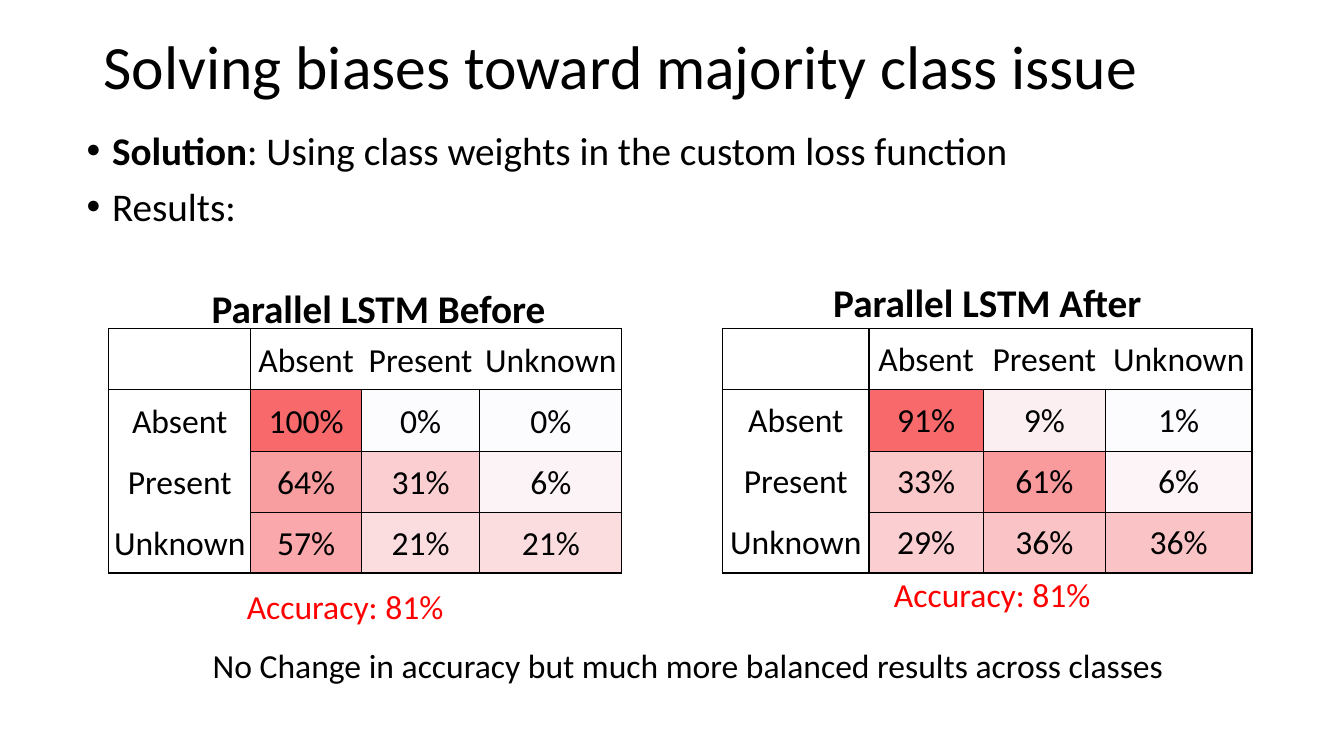
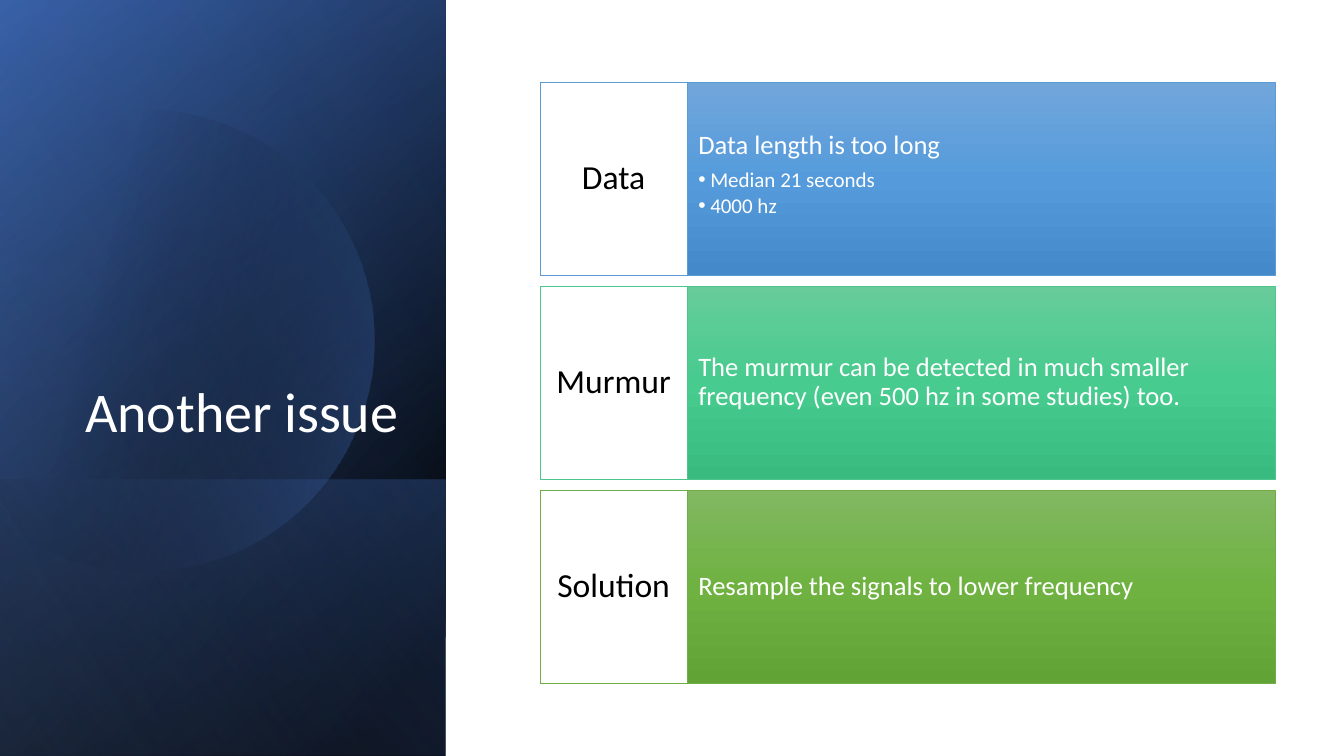
import math
from dataclasses import dataclass

import lxml.etree
import pptx
import pptx.dml.color
import pptx.enum.shapes
import pptx.enum.text
import pptx.oxml.ns
import pptx.util

Cm = pptx.util.Cm
Pt = pptx.util.Pt
qn = pptx.oxml.ns.qn
Align = pptx.enum.text.PP_ALIGN
Anchor = pptx.enum.text.MSO_ANCHOR
RECTANGLE = pptx.enum.shapes.MSO_SHAPE.RECTANGLE


@dataclass(frozen=True)
class Theme:
    font: str = "Calibri"
    black: str = "000000"
    white: str = "FFFFFF"
    red: str = "FF0000"
    navy: str = "2F5597"
    blue: str = "4472C4"
    pale_blue: str = "8FAADC"
    heat_low: str = "FCFCFF"
    heat_high: str = "F8696B"
    title_size: float = 44
    panel_title_size: float = 40
    body_size: float = 28
    label_size: float = 24
    card_size: float = 19
    card_bullet_size: float = 15
    line_spacing: float = 0.9


theme = Theme()


def style_para(para, size, color, bold=False, align=Align.LEFT, indent=None,
               before=0, after=0, spacing=theme.line_spacing):
    """Format a paragraph and its runs; an indent in cm makes it a bullet."""
    if indent is not None:
        properties = para._p.get_or_add_pPr()
        properties.set("marL", str(Cm(indent)))
        properties.set("indent", str(-Cm(indent)))
        lxml.etree.SubElement(properties, qn("a:buFont")).set("typeface", "Arial")
        lxml.etree.SubElement(properties, qn("a:buChar")).set("char", "•")
    para.alignment = align
    para.line_spacing = spacing
    para.space_before = Pt(before)
    para.space_after = Pt(after)
    for run in para.runs:
        run.font.name = theme.font
        run.font.size = Pt(size)
        run.font.bold = bold
        run.font.color.rgb = pptx.dml.color.RGBColor.from_string(color)


def paint_gradient(shape, stops, angle):
    """Fill with (position, colour, opacity) stops along a clockwise angle."""
    shape.shadow.inherit = False
    shape.fill.gradient()
    shape.fill.gradient_angle = 360 - angle
    stop_list = shape._element.spPr.find(qn("a:gradFill")).find(qn("a:gsLst"))
    for old_stop in list(stop_list):
        stop_list.remove(old_stop)
    for position, color, opacity in stops:
        stop = lxml.etree.SubElement(stop_list, qn("a:gs"), pos=str(position * 1000))
        tint = lxml.etree.SubElement(stop, qn("a:srgbClr"), val=color)
        if opacity < 100:
            lxml.etree.SubElement(tint, qn("a:alpha"), val=str(opacity * 1000))


deck = pptx.Presentation()
deck.slide_width = Cm(33.87)
deck.slide_height = Cm(19.05)

# Slide 1: title and bullets
page = deck.slides.add_slide(deck.slide_layouts[1])
title = page.shapes.title
title.left, title.top, title.width, title.height = Cm(2.36), Cm(-0.1), Cm(29.21), Cm(3.68)
title.text_frame.text = "Solving biases toward majority class issue"
title.text_frame.auto_size = pptx.enum.text.MSO_AUTO_SIZE.NONE
title.text_frame.vertical_anchor = Anchor.MIDDLE
style_para(title.text_frame.paragraphs[0], theme.title_size, theme.black)

body = page.placeholders[1]
body.left, body.top, body.width, body.height = Cm(1.93), Cm(3.18), Cm(29.21), Cm(12.09)
body.text_frame.auto_size = pptx.enum.text.MSO_AUTO_SIZE.NONE
solution = body.text_frame.paragraphs[0]
solution.add_run().text = "Solution"
solution.add_run().text = ": Using class weights in the custom loss function"
style_para(solution, theme.body_size, theme.black, indent=0.64)
solution.runs[0].font.bold = True
results = body.text_frame.add_paragraph()
results.text = "Results:"
style_para(results, theme.body_size, theme.black, indent=0.64, before=10)

# Confusion matrices: left edge, column widths, cell inset, percentages
classes = ["Absent", "Present", "Unknown"]
matrices = [
    (2.74, [3.58, 2.79, 2.98, 3.58], 0.08, [[100, 0, 0], [64, 31, 6], [57, 21, 21]]),
    (18.21, [3.69, 2.88, 3.08, 3.69], 0.05, [[91, 9, 1], [33, 61, 6], [29, 36, 36]]),
]
row_height = 1.54
low_rgb = pptx.dml.color.RGBColor.from_string(theme.heat_low)
high_rgb = pptx.dml.color.RGBColor.from_string(theme.heat_high)
for left, widths, inset, values in matrices:
    frame = page.shapes.add_table(4, 4, Cm(left), Cm(8.28), Cm(sum(widths)), Cm(4 * row_height))
    table = frame.table
    table.first_row = table.horz_banding = False
    for column, width in zip(table.columns, widths):
        column.width = Cm(width)
    lowest, highest = min(map(min, values)), max(map(max, values))
    grid = [[""] + classes] + [[name] + [f"{value}%" for value in line]
                               for name, line in zip(classes, values)]
    for r, line in enumerate(grid):
        table.rows[r].height = Cm(row_height)
        for c, text in enumerate(line):
            cell = table.cell(r, c)
            cell.text_frame.text = text
            cell.vertical_anchor = Anchor.MIDDLE
            cell.margin_left = cell.margin_right = cell.margin_top = Cm(inset)
            cell.margin_bottom = 0
            style_para(cell.text_frame.paragraphs[0], theme.label_size, theme.black,
                       align=Align.CENTER, spacing=1.0)

            # Frame and header rules are 1 pt, rules between values 0.5 pt
            cell_properties = cell._tc.get_or_add_tcPr()
            for side, rule, crossing in [("L", c, r), ("R", c + 1, r), ("T", r, c), ("B", r + 1, c)]:
                weight = 1 if rule in (0, 1, 4) else 0.5 if crossing else 0
                border = lxml.etree.SubElement(cell_properties, qn(f"a:ln{side}"))
                if weight:
                    border.set("w", str(Pt(weight)))
                    ink = lxml.etree.SubElement(border, qn("a:solidFill"))
                    lxml.etree.SubElement(ink, qn("a:srgbClr"), val=theme.black)
                else:
                    lxml.etree.SubElement(border, qn("a:noFill"))

            # Heat scale from the lowest to the highest value
            if r and c:
                share = (values[r - 1][c - 1] - lowest) / (highest - lowest)
                cell.fill.solid()
                cell.fill.fore_color.rgb = pptx.dml.color.RGBColor(
                    *[round(low + (high - low) * share) for low, high in zip(low_rgb, high_rgb)])
            else:
                cell.fill.background()

# Captions around the matrices: text, place, size, colour, bold, alignment
captions = [
    ("Parallel LSTM Before", (4.65, 7.04, 9.78, 1.45), theme.body_size, theme.black, True, Align.CENTER),
    ("Accuracy: 81%", (5.97, 14.63, 5.61, 1.27), theme.label_size, theme.red, False, Align.LEFT),
    ("Parallel LSTM After", (20.55, 6.88, 8.66, 1.45), theme.body_size, theme.black, True, Align.CENTER),
    ("Accuracy: 81%", (22.28, 14.33, 5.61, 1.27), theme.label_size, theme.red, False, Align.LEFT),
    ("No Change in accuracy but much more balanced results across classes",
     (5.11, 16.13, 24.69, 1.27), theme.label_size, theme.black, False, Align.LEFT),
]
for text, place, size, color, bold, align in captions:
    box = page.shapes.add_textbox(*[Cm(length) for length in place])
    box.text_frame.word_wrap = True
    box.text_frame.text = text
    style_para(box.text_frame.paragraphs[0], size, color, bold, align, spacing=1.0)

# Slide 2: layered gradient panel, from back to front
page = deck.slides.add_slide(deck.slide_layouts[5])
panel_width, panel_height, band_top = 11.23, 19.05, 12.09
layers = [
    ("panel", [(8, theme.black, 100), (100, theme.navy, 100)], 220),
    ("panel", [(0, theme.black, 0), (99, theme.blue, 46)], 240),
    ("band", [(2, theme.blue, 29), (100, theme.black, 30)], 140),
    ("disc", [(29, theme.black, 0), (100, theme.blue, 43)], 14),
    ("panel", [(0, theme.black, 0), (99, theme.pale_blue, 11)], 150),
]
for kind, stops, angle in layers:
    if kind == "disc":
        # Circle cut off by the left edge of the slide
        center_x, center_y, radius = 3.61, 8.58, 5.82
        limit = math.acos(-center_x / radius)
        steps = 90
        arc = [limit * (2 * step / steps - 1) for step in range(steps + 1)]
        points = [(Cm(center_x + radius * math.cos(turn)), Cm(center_y + radius * math.sin(turn)))
                  for turn in arc]
        builder = page.shapes.build_freeform(*points[0])
        builder.add_line_segments(points[1:], close=True)
        layer = builder.convert_to_shape()
    else:
        top = band_top if kind == "band" else 0
        layer = page.shapes.add_shape(RECTANGLE, 0, Cm(top), Cm(panel_width), Cm(panel_height - top))
    paint_gradient(layer, stops, angle)
    layer.line.fill.background()

# Panel title, brought in front of the layers
title = page.shapes.title
page.shapes._spTree.append(title._element)
title.left, title.top, title.width, title.height = Cm(1.63), Cm(4.67), Cm(8.66), Cm(6.65)
title.text_frame.text = "Another issue"
title.text_frame.auto_size = pptx.enum.text.MSO_AUTO_SIZE.NONE
title.text_frame.vertical_anchor = Anchor.BOTTOM
style_para(title.text_frame.paragraphs[0], theme.panel_title_size, theme.white, align=Align.RIGHT)

# Cards: label, statement, bullets, line colour, gradient colours
cards = [
    ("Data", "Data length is too long", ["Median 21 seconds", "4000 hz"],
     "5B9BD5", ["71A6DB", "559BDB", "448ACA"]),
    ("Murmur", "The murmur can be detected in much smaller frequency (even 500 hz in some studies) too.", [],
     "4DC58D", ["67CC9A", "47CB8E", "39BB7F"]),
    ("Solution", "Resample the signals to lower frequency", [],
     "70AD47", ["81B861", "6FB242", "62A336"]),
]
card_left, card_top, card_pitch, card_height = 13.61, 2.08, 5.14, 4.85
label_width, statement_width = 3.71, 14.81
for index, (label, statement, bullets, line_color, shades) in enumerate(cards):
    top = Cm(card_top + index * card_pitch)
    statement_box = page.shapes.add_shape(
        RECTANGLE, Cm(card_left + label_width), top, Cm(statement_width), Cm(card_height))
    paint_gradient(statement_box, [(50 * step, shade, 100) for step, shade in enumerate(shades)], 90)
    label_box = page.shapes.add_shape(RECTANGLE, Cm(card_left), top, Cm(label_width), Cm(card_height))
    label_box.shadow.inherit = False
    label_box.fill.solid()
    label_box.fill.fore_color.rgb = pptx.dml.color.RGBColor.from_string(theme.white)

    for box, text, side_inset, end_inset in [(statement_box, statement, 0.28, 1.24),
                                             (label_box, label, 0.2, 0.48)]:
        box.line.color.rgb = pptx.dml.color.RGBColor.from_string(line_color)
        box.line.width = Pt(0.5)
        text_frame = box.text_frame
        text_frame.word_wrap = True
        text_frame.margin_left = text_frame.margin_right = Cm(side_inset)
        text_frame.margin_top = text_frame.margin_bottom = Cm(end_inset)
        text_frame.vertical_anchor = Anchor.MIDDLE
        text_frame.text = text

    style_para(label_box.text_frame.paragraphs[0], theme.label_size, theme.black, align=Align.CENTER)
    style_para(statement_box.text_frame.paragraphs[0], theme.card_size, theme.white,
               after=6.5 if bullets else 0)
    if bullets:
        statement_box.text_frame.vertical_anchor = Anchor.TOP
    for bullet in bullets:
        para = statement_box.text_frame.add_paragraph()
        para.text = bullet
        para.level = 1
        style_para(para, theme.card_bullet_size, theme.white, indent=0.3, after=2)

deck.save("out.pptx")
